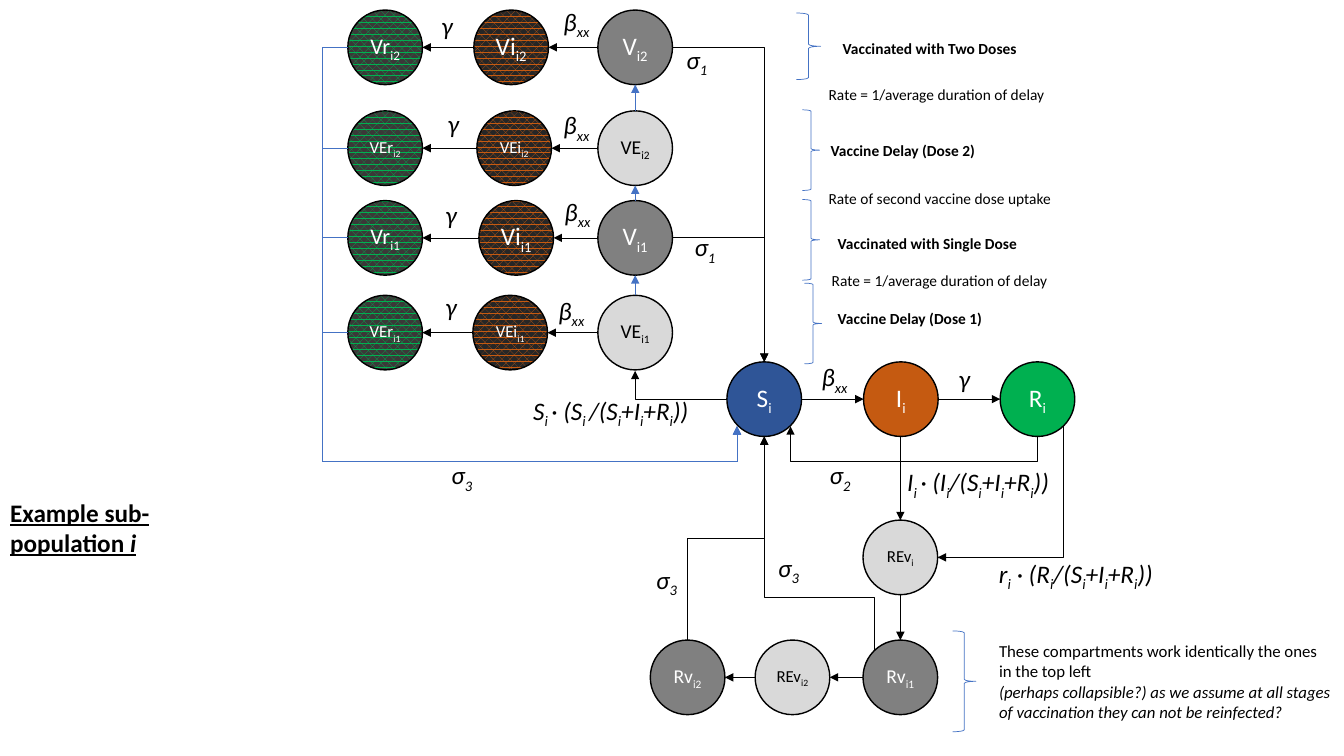
from lxml import etree
from pptx import Presentation
from pptx.dml.color import RGBColor
from pptx.enum.dml import MSO_PATTERN
from pptx.enum.shapes import MSO_CONNECTOR, MSO_SHAPE
from pptx.enum.text import MSO_ANCHOR, MSO_AUTO_SIZE, PP_ALIGN
from pptx.oxml.ns import qn
from pptx.util import Inches, Pt

STRAIGHT, ELBOW = MSO_CONNECTOR.STRAIGHT, MSO_CONNECTOR.ELBOW
ELLIPSE, BRACE = MSO_SHAPE.OVAL, MSO_SHAPE.LEFT_BRACE
DOTTED = MSO_PATTERN.PERCENT_60
MIDDLE, TOP = MSO_ANCHOR.MIDDLE, MSO_ANCHOR.TOP
CENTER, LEFT = PP_ALIGN.CENTER, PP_ALIGN.LEFT
GROW, FIXED = MSO_AUTO_SIZE.SHAPE_TO_FIT_TEXT, MSO_AUTO_SIZE.NONE

COLORS = {
    "black": "000000", "white": "FFFFFF", "accent": "4472C4",
    "blue": "2F5597", "orange": "C55A11", "green": "00B050",
    "gray": "808080", "pale": "D9D9D9", "ember": "262626", "soot": "3B3838",
}
FONT = "Calibri"
SIZE = 0.74
HALF = SIZE / 2


def color(name):
    return RGBColor.from_string(COLORS[name])


def style_run(run, size, ink="black", bold=None, italic=None):
    run.font.name = FONT
    run.font.size = Pt(size)
    run.font.color.rgb = color(ink)
    run.font.bold = bold
    run.font.italic = italic


def write(paragraph, marked, size, ink="black", bold=None, italic=None):
    for position, part in enumerate(marked.split("_")):
        if part:
            run = paragraph.add_run()
            run.text = part
            style_run(run, size, ink, bold, italic)
            if position % 2:
                run.font._element.set("baseline", "-25000")


def add_node(slide, left, top, marked, size, fill, backing=None):
    node = slide.shapes.add_shape(ELLIPSE, *map(Inches, (left, top, SIZE, SIZE)))
    node.shadow.inherit = False
    if backing:
        node.fill.patterned()
        node.fill.pattern = DOTTED
        node.fill.fore_color.rgb = color(fill)
        node.fill.back_color.rgb = color(backing)
    else:
        node.fill.solid()
        node.fill.fore_color.rgb = color(fill)
    node.line.color.rgb = color("black")
    node.line.width = Pt(1)
    frame = node.text_frame
    frame.word_wrap = False
    frame.vertical_anchor = MIDDLE
    frame.paragraphs[0].alignment = CENTER
    write(frame.paragraphs[0], marked, size, "black" if fill == "pale" else "white")


def add_label(slide, left, top, width, marked, size=18, italic=True, bold=None, wrap=False):
    height = 0.4 if size == 18 else 0.29
    label = slide.shapes.add_textbox(*map(Inches, (left, top, width, height)))
    frame = label.text_frame
    frame.word_wrap = wrap
    frame.auto_size = GROW
    write(frame.paragraphs[0], marked, size, bold=bold, italic=italic)
    return frame


def finish_arrow(connector, ink):
    connector.line.color.rgb = color(ink)
    connector.line.width = Pt(0.5)
    etree.SubElement(connector.line._get_or_add_ln(), qn("a:tailEnd"), type="triangle")
    etree.SubElement(connector._element.spPr, qn("a:effectLst"))


def add_arrow(slide, start, end, ink="black"):
    ends = map(Inches, (*start, *end))
    finish_arrow(slide.shapes.add_connector(STRAIGHT, *ends), ink)


def add_elbow(slide, start, end, bends=(), vertical_first=False, ink="black"):
    across, down = end[0] - start[0], end[1] - start[1]
    begin, finish = start, end
    lengths, origins = (across, down), start
    if vertical_first:
        middle_x, middle_y = start[0] + across / 2, start[1] + down / 2
        begin = (middle_x - down / 2, middle_y + across / 2)
        finish = (middle_x + down / 2, middle_y - across / 2)
        lengths, origins = lengths[::-1], start[::-1]
    connector = slide.shapes.add_connector(ELBOW, *map(Inches, (*begin, *finish)))
    properties = connector._element.spPr
    if vertical_first:
        properties.find(qn("a:xfrm")).set("rot", "5400000")
    geometry = properties.find(qn("a:prstGeom"))
    geometry.set("prst", f"bentConnector{len(bends) + 2}")
    guides = geometry.find(qn("a:avLst"))
    for number, (bend, origin, length) in enumerate(zip(bends, origins, lengths), 1):
        value = round((bend - origin) / length * 100000)
        etree.SubElement(guides, qn("a:gd"), name=f"adj{number}", fmla=f"val {value}")
    finish_arrow(connector, ink)


def add_brace(slide, left, top, width, height):
    brace = slide.shapes.add_shape(BRACE, *map(Inches, (left, top, width, height)))
    brace.shadow.inherit = False
    brace.fill.background()
    brace.line.color.rgb = color("accent")
    brace.line.width = Pt(0.5)
    brace._element.spPr.find(qn("a:xfrm")).set("flipH", "1")


def add_title(slide, left, top, width, height):
    title = slide.shapes.title
    title.left, title.top, title.width, title.height = map(Inches, (left, top, width, height))
    frame = title.text_frame
    frame.word_wrap = True
    frame.auto_size = FIXED
    frame.vertical_anchor = TOP
    paragraph = frame.paragraphs[0]
    paragraph.alignment = LEFT
    paragraph.line_spacing = 1
    for words, italic in (("Example sub-population ", None), ("i", True)):
        run = paragraph.add_run()
        run.text = words
        style_run(run, 18, bold=True, italic=italic)
        run.font.underline = True


def add_vaccination(slide, left, top):
    rows = [
        (0, "V", "_i2_", 1.25, (2.04, -0.09), (0.83, -0.05)),
        (1, "VE", "_i2_", 1.28, (2.04, -0.06), (0.89, -0.07)),
        (1.89, "V", "_i1_", 1.3, (2.05, -0.09), (0.87, -0.06)),
        (2.83, "VE", "_i1_", 1.24, (1.99, -0.05), (0.87, -0.09)),
    ]
    vaccinated = left + 2.48
    susceptible = (left + 4.13, top + 3.49)
    for offset, stage, index, shift, beta, gamma in rows:
        row, infected = top + offset, left + shift
        middle = row + HALF
        full = stage == "V"
        add_node(slide, left, row, f"{stage}r{index}", 16 if full else 12, "green", "soot")
        add_node(slide, infected, row, f"{stage}i{index}", 18 if full else 12, "orange", "ember")
        add_node(slide, vaccinated, row, stage + index, 18 if full else 14,
                 "gray" if full else "pale")
        add_arrow(slide, (vaccinated, middle), (infected + SIZE, middle))
        add_arrow(slide, (infected, middle), (left + SIZE, middle))
        add_label(slide, left + beta[0], row + beta[1], 0.48, "β_xx_")
        add_label(slide, left + gamma[0], row + gamma[1], 0.31, "γ")
        add_elbow(slide, (left, middle), (left + 3.86, top + 4.13),
                  (left - 0.25, top + 4.48), ink="accent")
        if full:
            add_elbow(slide, (vaccinated + SIZE, middle), susceptible)
    center = vaccinated + HALF
    for upper, lower in zip(rows, rows[1:]):
        add_arrow(slide, (center, top + lower[0]), (center, top + upper[0] + SIZE), "accent")
    add_label(slide, left + 3.26, top + 0.29, 0.58, "σ_1_", wrap=True)
    add_label(slide, left + 3.34, top + 2.15, 0.58, "σ_1_", wrap=True)
    add_label(slide, left + 0.93, top + 4.41, 0.74, "σ_3_", wrap=True)


def add_infection(slide, left, top):
    step, middle, bottom = 1.355, top + HALF, top + SIZE
    nodes = [("S_i_", "blue"), ("I_i_", "orange"), ("R_i_", "green")]
    for column, (name, fill) in enumerate(nodes):
        add_node(slide, left + column * step, top, name, 18, fill)
    for column in range(2):
        add_arrow(slide, (left + column * step + SIZE, middle), (left + (column + 1) * step, middle))
    add_elbow(slide, (left, middle), (left - 0.91, top + 0.09))
    add_elbow(slide, (left + 3.08, bottom), (left + 0.63, top + 0.64), (top + 0.99,), True)
    add_label(slide, left + 0.84, top - 0.05, 0.48, "β_xx_")
    add_label(slide, left + 2.2, top - 0.03, 0.31, "γ")
    add_label(slide, left + 0.92, top + 0.92, 0.74, "σ_2_", wrap=True)
    add_label(slide, left - 2.02, top + 0.28, 1.84, "S_i _· (S_i _/(S_i_+I_i_+R_i_))", wrap=True)


def add_revaccination(slide, left, top):
    delay, first = left + 2.11, top + 1.19
    middle, center = first + HALF, delay + HALF
    susceptible = (left + 1.13, top - 0.83)
    add_node(slide, delay, top, "REv_i_", 12, "pale")
    add_node(slide, delay, first, "Rv_i1_", 14, "gray")
    add_node(slide, left + 1.04, first, "REv_i2_", 12, "pale")
    add_node(slide, left, first, "Rv_i2_", 14, "gray")
    add_arrow(slide, (center, top - 0.83), (center, top))
    add_arrow(slide, (center, top + SIZE), (center, first))
    add_arrow(slide, (delay, middle), (left + 1.04 + SIZE, middle))
    add_arrow(slide, (left + 1.04, middle), (left + SIZE, middle))
    add_elbow(slide, (left + 4.1, top - 0.93), (delay + SIZE, top + HALF), vertical_first=True)
    add_elbow(slide, (left + HALF, first), susceptible, (top + 0.18,), True)
    add_elbow(slide, (left + 2.22, first + 0.11), susceptible, (top + 0.77,), True)
    add_label(slide, left - 0.04, top + 0.39, 0.74, "σ_3_", wrap=True)
    add_label(slide, left + 1.17, top + 0.27, 0.74, "σ_3_", wrap=True)
    add_label(slide, left + 2.45, top - 0.58, 1.76, "I_i _· (I_i_/(S_i_+I_i_+R_i_))", wrap=True)
    add_label(slide, left + 3.36, top + 0.33, 2.37, "r_i_ · (R_i_/(S_i_+I_i_+R_i_))", wrap=True)
    add_brace(slide, left + 3, first - 0.09, 0.23, 1)
    frame = add_label(slide, left + 3.36, first - 0.04, 3.51,
                      "These compartments work identically the ones in the top left",
                      12, None, wrap=True)
    write(frame.add_paragraph(), "(perhaps collapsible?) as we assume at all stages "
          "of vaccination they can not be reinfected?", 12, italic=True)


def add_legend(slide, left, top):
    for brace in ((0, 0, 0.24, 0.66), (0.06, 0.96, 0.17, 0.8),
                  (0.06, 1.85, 0.17, 0.8), (0.08, 2.68, 0.17, 0.8)):
        add_brace(slide, left + brace[0], top + brace[1], *brace[2:])
    labels = [
        (0.36, 0.21, 1.96, "Vaccinated with Two Doses", True),
        (0.22, 0.67, 2.38, "Rate = 1/average duration of delay", None),
        (0.24, 1.22, 1.65, "Vaccine Delay (Dose 2)", True),
        (0.22, 1.7, 2.43, "Rate of second vaccine dose uptake", None),
        (0.31, 2.14, 2.01, "Vaccinated with Single Dose", True),
        (0.25, 2.51, 2.38, "Rate = 1/average duration of delay", None),
        (0.31, 2.89, 1.65, "Vaccine Delay (Dose 1)", True),
    ]
    for across, down, width, words, bold in labels:
        add_label(slide, left + across, top + down, width, words, 11, None, bold)


def main():
    presentation = Presentation()
    presentation.slide_width, presentation.slide_height = Inches(13.33), Inches(7.5)
    slide = presentation.slides.add_slide(presentation.slide_layouts[5])
    add_title(slide, 0, 4.88, 1.82, 0.71)
    add_vaccination(slide, 3.45, 0.1)
    add_infection(slide, 7.21, 3.59)
    add_revaccination(slide, 6.45, 5.16)
    add_legend(slide, 7.9, 0.13)
    presentation.save("out.pptx")


if __name__ == "__main__":
    main()
